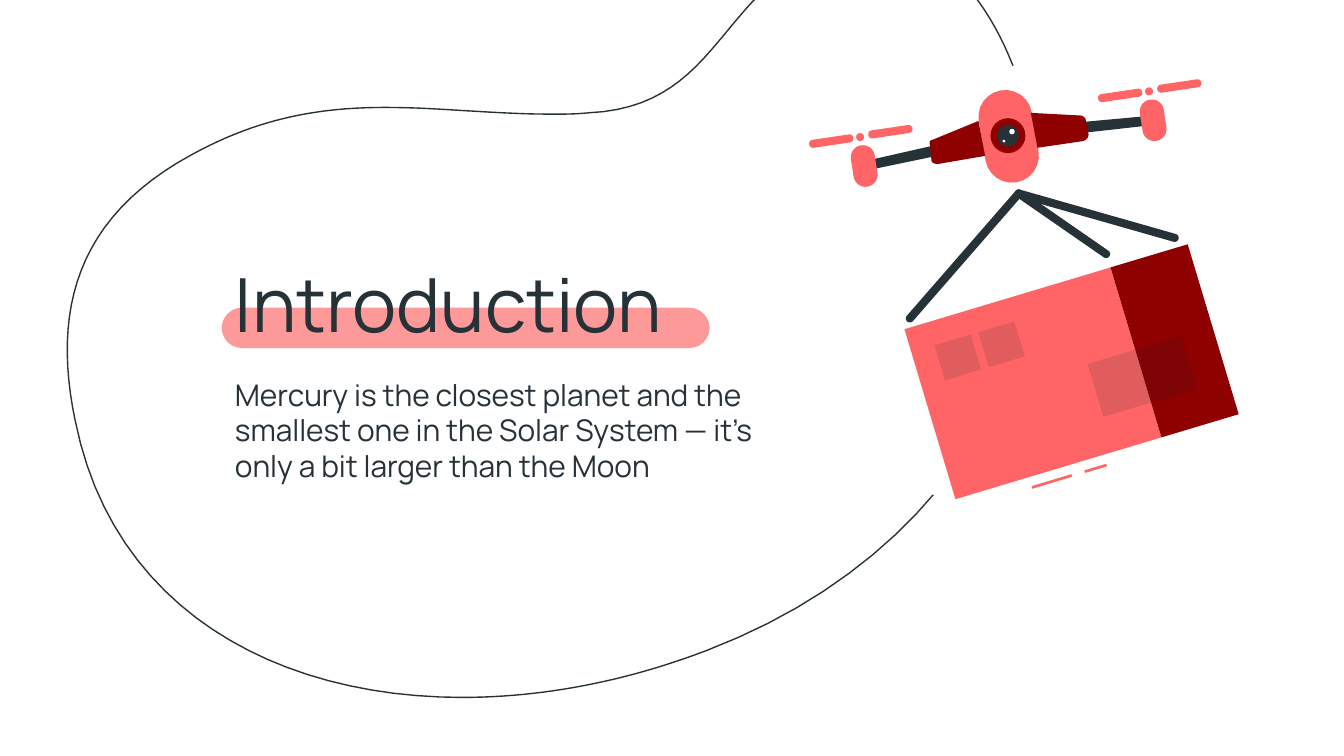
from dataclasses import dataclass
from math import atan2, cos, pi, radians, sin

from lxml.etree import SubElement
from pptx import Presentation
from pptx.dml.color import RGBColor
from pptx.enum.shapes import MSO_SHAPE
from pptx.enum.text import MSO_ANCHOR, PP_ALIGN
from pptx.oxml.ns import qn
from pptx.util import Inches, Pt

COLORS = {
    "ink": "263238",
    "coral": "FF6566",
    "blush": "FE9999",
    "maroon": "8F0000",
    "shade": "1A2327",
    "white": "FFFFFF",
}
FONT = "Manrope"
PARCEL_TILT = radians(-16.7)
BLOB = [
    (6.12, 0),
    (5.97, 0, 5.8, 0.04, 5.62, 0.13),
    (4.95, 0.48, 4.9, 1.24, 3.99, 1.28),
    (3.9, 1.29, 3.81, 1.29, 3.72, 1.29),
    (3.28, 1.29, 2.88, 1.24, 2.48, 1.24),
    (2.01, 1.24, 1.55, 1.31, 1.04, 1.59),
    (0.17, 2.06, 0, 2.76, 0.17, 3.57),
    (0.45, 4.97, 1.66, 5.63, 3.05, 5.63),
    (3.65, 5.63, 4.27, 5.51, 4.87, 5.28),
    (6.78, 4.55, 7.66, 2.86, 7.23, 1.18),
    (7.09, 0.67, 6.73, 0, 6.12, 0),
]


@dataclass
class Box:
    """A rectangle on the page, in inches."""
    left: float
    top: float
    width: float
    height: float


def color(name):
    """Return a named palette color."""
    return RGBColor.from_string(COLORS[name])


def paint(shape, fill, alpha=None):
    """Give a shape a plain fill, optionally see-through, and no line."""
    shape.shadow.inherit = False
    shape.line.fill.background()
    shape.fill.solid()
    shape.fill.fore_color.rgb = color(fill)
    if alpha is not None:
        tint = shape.fill._xPr.find(qn("a:solidFill"))[0]
        SubElement(tint, qn("a:alpha")).set("val", str(alpha * 1000))


def flatten(path, steps=24):
    """Turn points and cubic curve segments into a list of points."""
    points = []
    for segment in path:
        if len(segment) == 2:
            points.append(segment)
            continue
        x0, y0 = points[-1]
        x1, y1, x2, y2, x3, y3 = segment
        for step in range(1, steps + 1):
            t = step / steps
            a, b, c, d = (1 - t) ** 3, 3 * t * (1 - t) ** 2, 3 * t * t * (1 - t), t ** 3
            points.append((a * x0 + b * x1 + c * x2 + d * x3,
                           a * y0 + b * y1 + c * y2 + d * y3))
    return points


def add_outline(page, box, path):
    """Draw a closed outline relative to the box."""
    points = [(Inches(box.left + x), Inches(box.top + y)) for x, y in flatten(path)]
    builder = page.shapes.build_freeform(*points[0])
    builder.add_line_segments(points[1:], close=True)
    return builder.convert_to_shape()


def add_capsule(page, box, start, end, radius, fill):
    """Draw a round-ended bar between two points."""
    heading = atan2(end[1] - start[1], end[0] - start[0])
    path = []
    for (x, y), base in ((end, heading - pi / 2), (start, heading + pi / 2)):
        for step in range(13):
            angle = base + pi * step / 12
            path.append((x + radius * cos(angle), y + radius * sin(angle)))
    paint(add_outline(page, box, path), fill)


def add_dot(page, box, x, y, radius, fill):
    """Draw a circle around a point of the box."""
    dot = page.shapes.add_shape(
        MSO_SHAPE.OVAL, Inches(box.left + x - radius), Inches(box.top + y - radius),
        Inches(2 * radius), Inches(2 * radius))
    paint(dot, fill)


def add_text(page, box, text, size, space_after=0):
    """Place one left-aligned paragraph in a wrapping text box."""
    holder = page.shapes.add_textbox(
        Inches(box.left), Inches(box.top), Inches(box.width), Inches(box.height))
    frame = holder.text_frame
    frame.word_wrap = True
    frame.vertical_anchor = MSO_ANCHOR.TOP
    frame.margin_left = frame.margin_right = Inches(0.1)
    frame.margin_top = frame.margin_bottom = Inches(0.1)
    para = frame.paragraphs[0]
    para.alignment = PP_ALIGN.LEFT
    para.space_after = Pt(space_after)
    span = para.add_run()
    span.text = text
    span.font.name = FONT
    span.font.size = Pt(size)
    span.font.color.rgb = color("ink")


def add_blob(page, box):
    """Draw the thin curved line behind the content."""
    blob = add_outline(page, box, BLOB)
    blob.shadow.inherit = False
    blob.fill.background()
    blob.line.color.rgb = color("ink")
    blob.line.width = Pt(0.75)


def add_heading(page, box):
    """Place the highlighted title with its text below."""
    bar = page.shapes.add_shape(
        MSO_SHAPE.ROUNDED_RECTANGLE, Inches(box.left), Inches(box.top + 0.47),
        Inches(3.63), Inches(0.3))
    bar.adjustments[0] = 0.5
    paint(bar, "blush")
    add_text(page, Box(box.left, box.top, box.width, 0.79), "Introduction", 40)
    add_text(page, Box(box.left, box.top + 0.88, box.width, 1.12),
             "Mercury is the closest planet and the smallest one in the Solar System "
             "— it’s only a bit larger than the Moon", 16, 16)


def add_parcel(page, box):
    """Draw the tilted parcel and the ropes that carry it."""
    across, down = cos(PARCEL_TILT), sin(PARCEL_TILT)
    panels = [
        (0.57, 1.39, 0.31, 0.02, "coral", None),
        (0.98, 1.39, 0.17, 0.02, "coral", None),
        (0, 0, 1.6, 1.32, "coral", None),
        (1.6, 0, 0.6, 1.32, "maroon", None),
        (1.23, 0.64, 0.73, 0.41, "shade", 13),
        (0.18, 0.18, 0.28, 0.27, "shade", 13),
        (0.52, 0.18, 0.28, 0.27, "shade", 13),
    ]
    for x, y, width, height, fill, alpha in panels:
        corners = [(x, y), (x + width, y), (x + width, y + height), (x, y + height)]
        path = [(0.03 + u * across - v * down, 1.05 + u * down + v * across)
                for u, v in corners]
        paint(add_outline(page, box, path), fill, alpha)
    for end in ((2.04, 0.37), (1.53, 0.49), (0.07, 0.97)):
        add_capsule(page, box, (0.88, 0.04), end, 0.03, "ink")


def add_drone(page, box):
    """Draw the drone with its body, arms, motors and blades."""
    add_capsule(page, box, (1.48, 0.37), (1.53, 0.66), 0.2, "coral")
    parts = [
        ("ink", [(2.58, 0.36), (2.04, 0.41), (2.05, 0.49), (2.59, 0.43)]),
        ("ink", [(0.96, 0.58), (0.43, 0.7), (0.44, 0.77), (0.97, 0.66)]),
        ("maroon", [(1.67, 0.34), (1.72, 0.6), (2.06, 0.55),
                    (2.09, 0.54, 2.1, 0.52, 2.1, 0.5), (2.08, 0.4),
                    (2.08, 0.38, 2.06, 0.36, 2.04, 0.36)]),
        ("maroon", [(1.28, 0.4), (0.94, 0.54), (0.92, 0.54, 0.91, 0.56, 0.92, 0.58),
                    (0.93, 0.69), (0.93, 0.71, 0.95, 0.72, 0.98, 0.72), (1.33, 0.66)]),
    ]
    for fill, path in parts:
        paint(add_outline(page, box, path), fill)
    for x, y in ((2.55, 0.18), (0.4, 0.52)):
        add_capsule(page, box, (x + 0.02, y + 0.15), (x + 0.04, y + 0.28), 0.09, "coral")
        add_dot(page, box, x, y, 0.03, "coral")
        for shift_x, shift_y in ((-0.35, 0.05), (0.09, -0.02)):
            start = (x + shift_x, y + shift_y)
            add_capsule(page, box, start, (start[0] + 0.27, start[1] - 0.04), 0.03, "coral")
    for x, y, radius, fill in ((1.5, 0.51, 0.13, "maroon"), (1.5, 0.51, 0.08, "ink"),
                               (1.53, 0.48, 0.02, "white"), (1.47, 0.55, 0.01, "white")):
        add_dot(page, box, x, y, radius, fill)


def add_delivery(page, box):
    """Draw the white disc with the parcel and the drone on it."""
    add_dot(page, box, box.width / 2, box.height / 2, box.width / 2, "white")
    add_parcel(page, Box(box.left + 0.62, box.top + 0.93, 2.52, 2.32))
    add_drone(page, Box(box.left - 0.08, box.top + 0.03, 3, 0.9))


def main():
    """Build and save the deck."""
    deck = Presentation()
    deck.slide_width, deck.slide_height = Inches(10), Inches(10 * 9 / 16)
    page = deck.slides.add_slide(deck.slide_layouts[6])
    page.background.fill.solid()
    page.background.fill.fore_color.rgb = color("white")
    add_blob(page, Box(0.39, -0.44, 7.66, 5.63))
    add_heading(page, Box(1.65, 1.82, 4.23, 2))
    add_delivery(page, Box(6.08, 0.47, 3.44, 3.44))
    deck.save("out.pptx")


if __name__ == "__main__":
    main()
